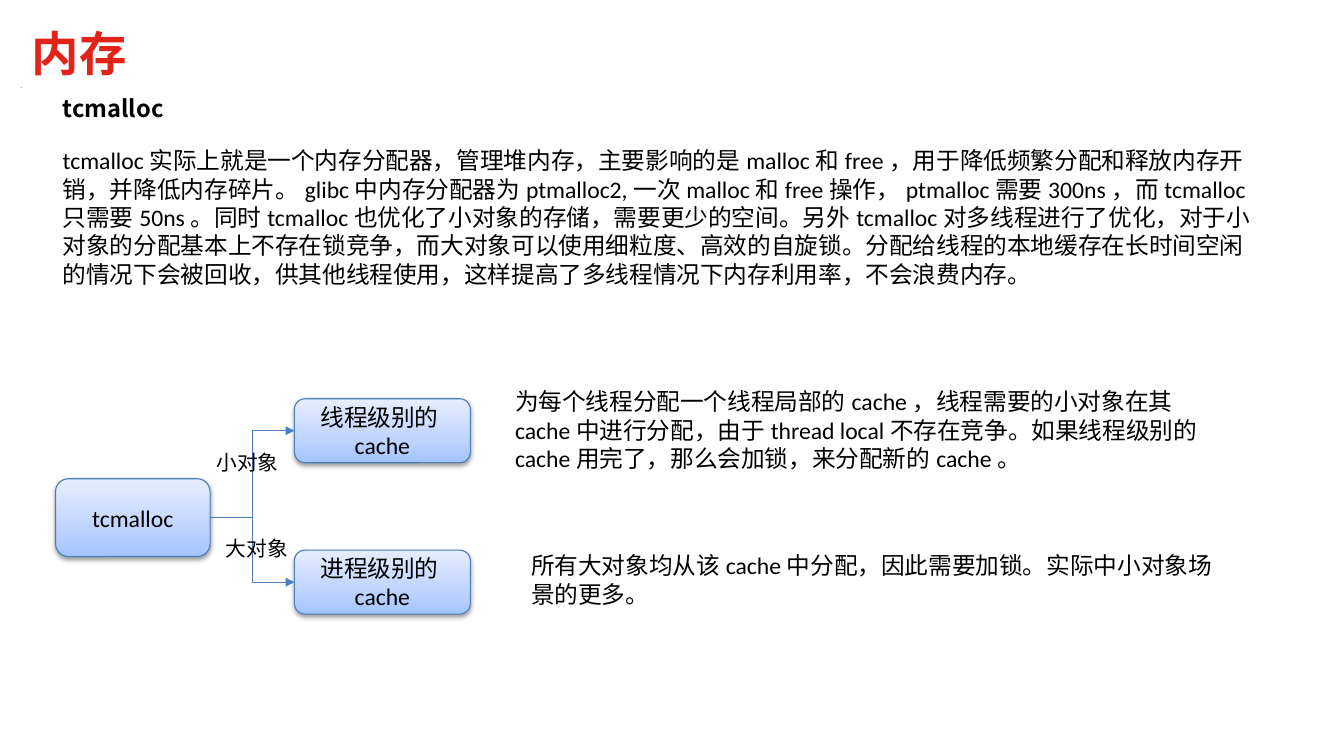
import math

import pptx
import pptx.dml.color
import pptx.enum.shapes
import pptx.enum.text
import pptx.oxml
import pptx.oxml.ns
import pptx.util
from pptx.util import Inches

COLORS = {
    "title": "E2231A", "text": "000000", "line": "4B7EBC", "shadow": "000000",
    "node_dark": "A4C4FF", "node_mid": "BFD4FF", "node_light": "E6EEFF",
    "icon_orange": "F79646", "icon_red": "E61D1A",
}
LATIN, CJK = "Calibri", "Noto Sans CJK SC"
A = "http://schemas.openxmlformats.org/drawingml/2006/main"
qn = pptx.oxml.ns.qn

INTRO = (
    "tcmalloc实际上就是一个内存分配器，管理堆内存，主要影响的是malloc和free，"
    "用于降低频繁分配和释放内存开销，并降低内存碎片。"
    "glibc中内存分配器为ptmalloc2,一次malloc和free操作，"
    "ptmalloc需要300ns，而tcmalloc只需要50ns。"
    "同时tcmalloc也优化了小对象的存储，需要更少的空间。"
    "另外tcmalloc对多线程进行了优化，对于小对象的分配基本上不存在锁竞争，"
    "而大对象可以使用细粒度、高效的自旋锁。"
    "分配给线程的本地缓存在长时间空闲的情况下会被回收，供其他线程使用，"
    "这样提高了多线程情况下内存利用率，不会浪费内存。"
)
THREAD_NOTE = (
    "为每个线程分配一个线程局部的cache，线程需要的小对象在其cache中进行分配，"
    "由于thread local不存在竞争。"
    "如果线程级别的cache用完了，那么会加锁，来分配新的cache。"
)
PROCESS_NOTE = "所有大对象均从该cache中分配，因此需要加锁。实际中小对象场景的更多。"


def rgb(name):
    return pptx.dml.color.RGBColor.from_string(COLORS[name])


def write(tf, text, size, font=LATIN, color="text", bold=False):
    p = tf.paragraphs[0]
    p.text = text
    p.font.size = pptx.util.Pt(size)
    p.font.bold = bold
    p.font.color.rgb = rgb(color)
    p.font.name = font
    ea = pptx.oxml.parse_xml(f'<a:ea xmlns:a="{A}" typeface="{CJK}"/>')
    p._p.pPr.find(qn("a:defRPr")).append(ea)
    return p


def add_text(s, box, text, size=16, wrap=True, inset=0.1, inset_y=0.05, **style):
    tf = s.shapes.add_textbox(*map(Inches, box)).text_frame
    tf.word_wrap = wrap
    tf.margin_left = tf.margin_right = Inches(inset)
    tf.margin_top = tf.margin_bottom = Inches(inset_y)
    write(tf, text, size, **style)
    return tf


def set_gradient(sp, stops, angle):
    """Fill with (percent, colour name) stops; angle runs counter-clockwise."""
    sp.fill.gradient()
    sp.fill.gradient_angle = angle
    gs_lst = sp._element.spPr.find(qn("a:gradFill")).find(qn("a:gsLst"))
    gs_lst.clear()
    for percent, name in stops:
        gs_lst.append(pptx.oxml.parse_xml(
            f'<a:gs xmlns:a="{A}" pos="{percent * 1000}">'
            f'<a:srgbClr val="{COLORS[name]}"/></a:gs>'))


def add_check_icon(s, left, top, size):
    """Disc with a tick cut out of it."""
    r = size / 2
    disc = [(r + r * math.cos(math.radians(a)), r + r * math.sin(math.radians(a)))
            for a in range(0, 360, 6)]
    tick = [(x * size, y * size) for x, y in
            [(0.4, 0.77), (0.17, 0.53), (0.27, 0.43), (0.4, 0.57), (0.72, 0.27), (0.82, 0.37)]]
    builder = s.shapes.build_freeform(*disc[0], scale=Inches(1))
    builder.add_line_segments(disc[1:], close=True)
    builder.move_to(*tick[0])
    builder.add_line_segments(tick[1:], close=True)
    sp = builder.convert_to_shape(Inches(left), Inches(top))
    sp.shadow.inherit = False
    sp.line.fill.background()
    set_gradient(sp, [(0, "icon_orange"), (50, "icon_red"), (100, "icon_red")], 315)


def add_node(s, box, text):
    sp = s.shapes.add_shape(pptx.enum.shapes.MSO_SHAPE.ROUNDED_RECTANGLE, *map(Inches, box))
    set_gradient(sp, [(0, "node_dark"), (37, "node_mid"), (100, "node_light")], 90)
    sp.line.color.rgb = rgb("line")
    sp.line.width = pptx.util.Pt(0.75)
    sp.shadow.inherit = False
    sp._element.spPr.find(qn("a:effectLst")).append(pptx.oxml.parse_xml(
        f'<a:outerShdw xmlns:a="{A}" blurRad="40000" dist="20000" dir="5400000" rotWithShape="0">'
        f'<a:srgbClr val="{COLORS["shadow"]}"><a:alpha val="38000"/></a:srgbClr></a:outerShdw>'))
    tf = sp.text_frame
    tf.word_wrap = True
    tf.vertical_anchor = pptx.enum.text.MSO_ANCHOR.MIDDLE
    write(tf, text, 16).alignment = pptx.enum.text.PP_ALIGN.CENTER
    return sp


def add_branch(s, source, target):
    """Elbow arrow from the right side of source to the left side of target."""
    cxn = s.shapes.add_connector(
        pptx.enum.shapes.MSO_CONNECTOR.ELBOW,
        source.left + source.width, source.top + source.height // 2,
        target.left, target.top + target.height // 2)
    cxn.begin_connect(source, 3)
    cxn.end_connect(target, 1)
    cxn.line.color.rgb = rgb("line")
    cxn.line.width = pptx.util.Pt(0.75)
    cxn.line._get_or_add_ln().append(
        pptx.oxml.parse_xml(f'<a:tailEnd xmlns:a="{A}" type="triangle"/>'))
    cxn._element.spPr.append(pptx.oxml.parse_xml(f'<a:effectLst xmlns:a="{A}"/>'))


def add_header(s, left, top):
    tf = add_text(s, (left, top, 2.76, 0.71), "内存", 32, font=CJK, color="title", bold=True)
    tf.vertical_anchor = pptx.enum.text.MSO_ANCHOR.MIDDLE
    add_check_icon(s, left, top + 0.68, 0.3)
    add_text(s, (left + 0.19, top + 0.64, 1.36, 0.47), "tcmalloc", wrap=False,
             inset=0.2, inset_y=0.1, font=CJK, bold=True)


def add_cache_diagram(s, left, top):
    root = add_node(s, (left, top + 0.75, 1.45, 0.73), "tcmalloc")
    # node text, node offset, branch label, label offset, note, note box offset and height
    branches = [
        ("线程级别的cache", 0, "小对象", (1.41, 0.43), THREAD_NOTE, (4.21, -0.16), 0.91),
        ("进程级别的cache", 1.42, "大对象", (1.5, 1.24), PROCESS_NOTE, (4.36, 1.38), 0.64),
    ]
    for name, dy, label, (lx, ly), note, (nx, ny), height in branches:
        node = add_node(s, (left + 2.24, top + dy, 1.65, 0.6), name)
        add_branch(s, root, node)
        add_text(s, (left + lx, top + ly, 0.79, 0.34), label, 14, wrap=False)
        add_text(s, (left + nx, top + ny, 6.61, height), note)


def main():
    prs = pptx.Presentation()
    prs.slide_width, prs.slide_height = Inches(12.6), Inches(7.09)
    s = prs.slides.add_slide(prs.slide_layouts[6])
    add_header(s, 0.2, 0.14)
    add_text(s, (0.49, 1.32, 11.34, 1.45), INTRO)
    add_cache_diagram(s, 0.52, 3.74)
    prs.save("out.pptx")


if __name__ == "__main__":
    main()
